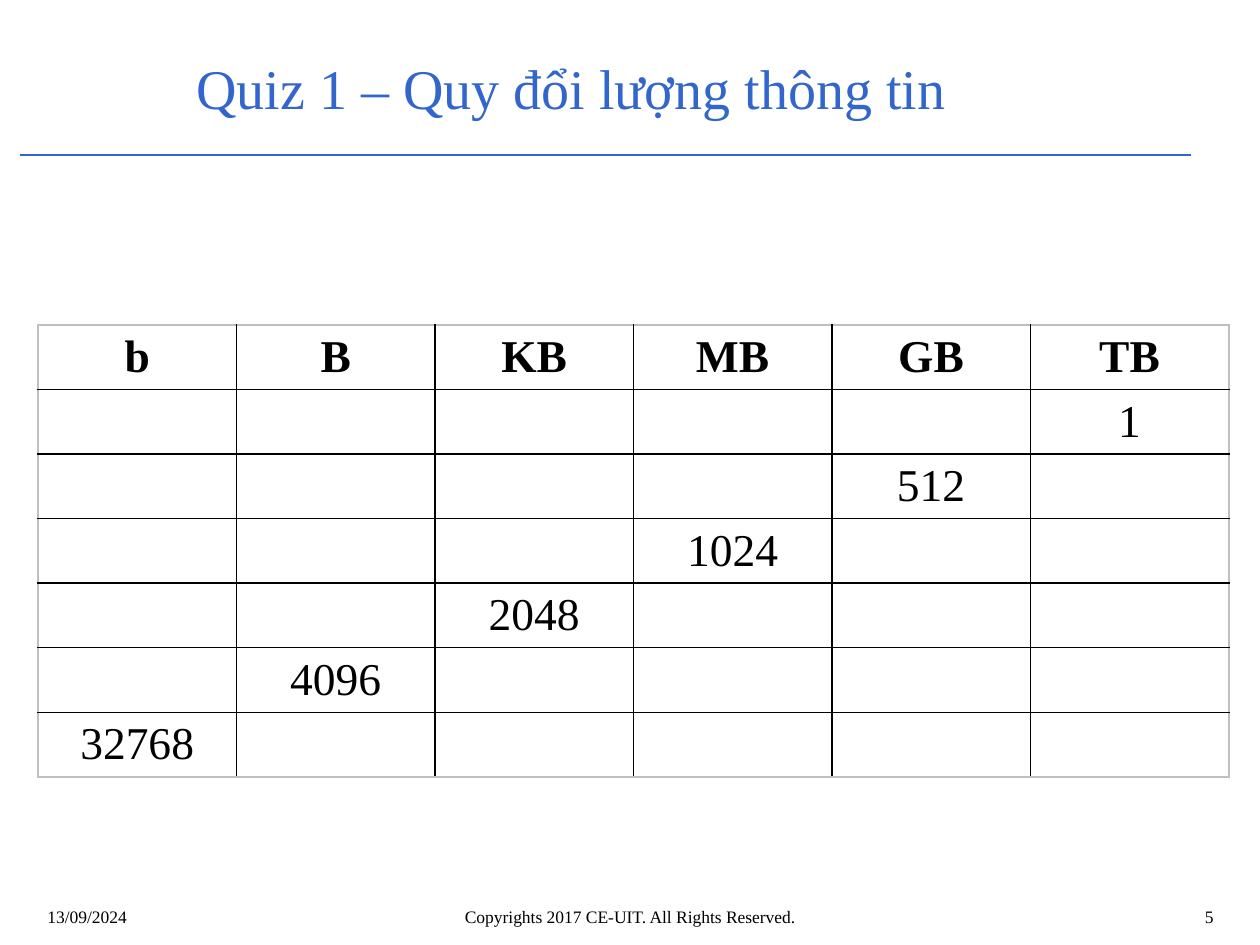
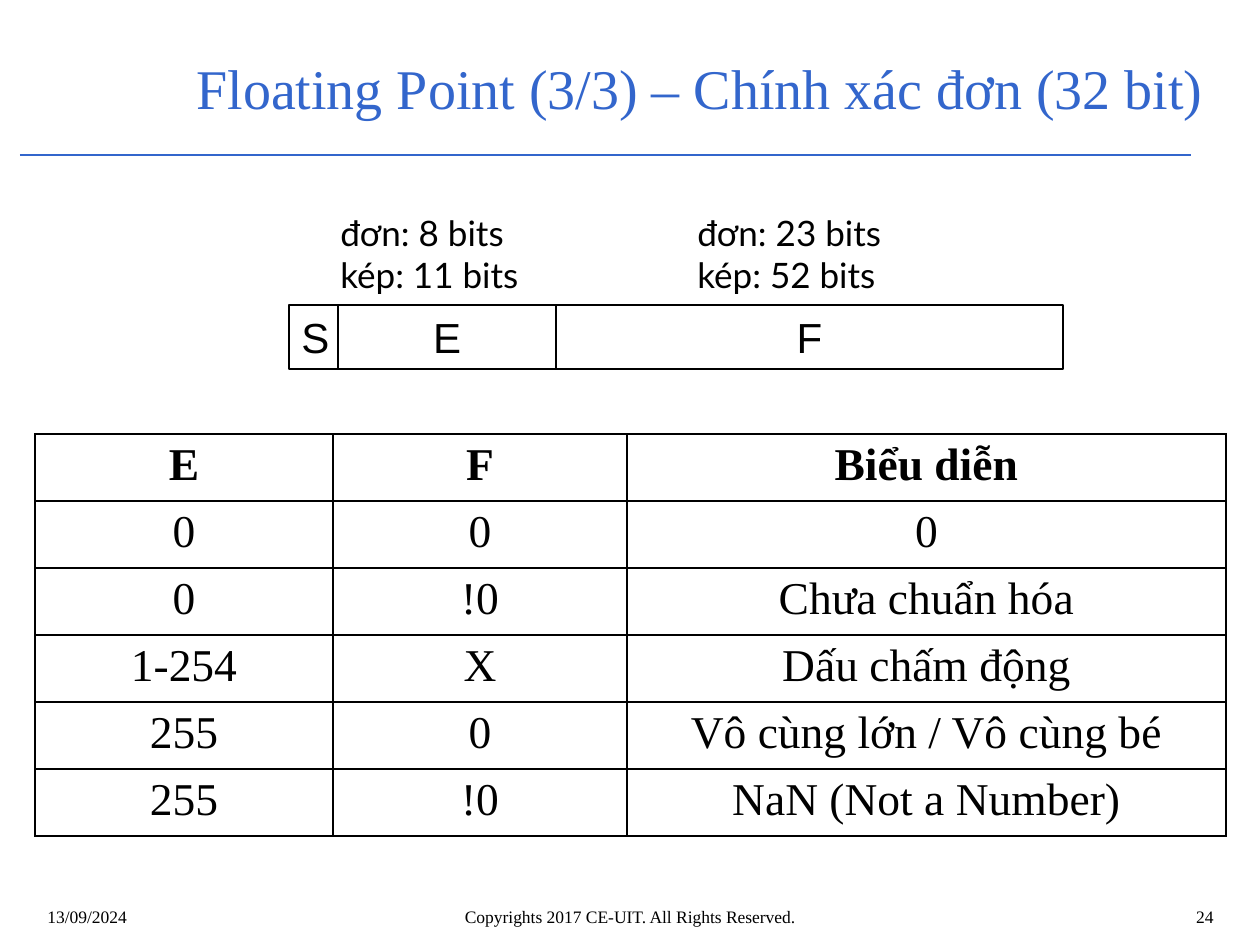
from lxml import etree
from pptx import Presentation
from pptx.dml.color import RGBColor
from pptx.enum.shapes import MSO_CONNECTOR, MSO_SHAPE
from pptx.enum.text import MSO_ANCHOR, PP_ALIGN
from pptx.oxml.ns import qn
from pptx.util import Emu, Pt

BLUE = RGBColor(0x33, 0x66, 0xCC)
BLACK = RGBColor(0, 0, 0)
GREY = RGBColor(0xC0, 0xC0, 0xC0)
SERIF, SANS, NOTE = "Times New Roman", "Arial", "Lato"
LEFT, MID, RIGHT = PP_ALIGN.LEFT, PP_ALIGN.CENTER, PP_ALIGN.RIGHT
TOP, CENTRE = MSO_ANCHOR.TOP, MSO_ANCHOR.MIDDLE
RECT, LINE = MSO_SHAPE.RECTANGLE, MSO_CONNECTOR.STRAIGHT

UNITS = ["b", "B", "KB", "MB", "GB", "TB"]
SIZES = ["32768", "4096", "2048", "1024", "512", "1"]
CASES = [
    ["E", "F", "Biểu diễn"],
    ["0", "0", "0"],
    ["0", "!0", "Chưa chuẩn hóa"],
    ["1-254", "X", "Dấu chấm động"],
    ["255", "0", "Vô cùng lớn / Vô cùng bé"],
    ["255", "!0", "NaN (Not a Number)"],
]
FIELDS = [("S", 49), ("E", 218), ("F", 507)]


def px(*sizes):
    """Turn lengths at 126 px to the inch into EMU."""
    return [Emu(round(size * 914400 / 126)) for size in sizes]


def write(frame, text, size=26, font=SERIF, color=BLACK, bold=False, align=LEFT):
    para = frame.paragraphs[0]
    para.text = text
    para.alignment = align
    for style in [para.font] + [run.font for run in para.runs]:
        style.size, style.name, style.bold = Pt(size), font, bold
        style.color.rgb = color


def label(slide, box, text, anchor=TOP, **style):
    frame = slide.shapes.add_textbox(*px(*box)).text_frame
    frame.word_wrap = True
    frame.vertical_anchor = anchor
    write(frame, text, **style)


def rule(slide, left, right, y):
    line = slide.shapes.add_connector(LINE, *px(left, y, right, y))
    line.line.color.rgb = BLUE
    line.line.width = Pt(0.75)
    etree.SubElement(line._element.spPr, qn("a:effectLst"))


def base(deck, title, number, width):
    """Add a slide with its title, rule and footer."""
    slide = deck.slides.add_slide(deck.slide_layouts[6])
    rule(slide, 20, 1191, 155)
    label(slide, (184, 39, width, 96), title, CENTRE, size=32, color=BLUE)
    label(slide, (35, 900, 294, 40), "13/09/2024", size=10)
    label(slide, (984, 900, 242, 40), str(number), size=10, align=RIGHT)
    label(slide, (243, 900, 774, 40),
          "Copyrights 2017 CE-UIT. All Rights Reserved.", size=10, align=MID)
    return slide


def edge(cell, side, color):
    line = etree.SubElement(cell._tc.get_or_add_tcPr(), qn(f"a:ln{side}"), w="12700")
    fill = etree.SubElement(line, qn("a:solidFill"))
    etree.SubElement(fill, qn("a:srgbClr"), val=str(color))


def grid(slide, spot, cols, high, rows, frame=BLACK, anchor=TOP, pad=6):
    """Add a ruled table with a bold first row; frame colours its outer edge."""
    box = (*spot, sum(cols), high * len(rows))
    table = slide.shapes.add_table(len(rows), len(cols), *px(*box)).table
    for col, width in zip(table.columns, px(*cols)):
        col.width = width
    for i, row in enumerate(rows):
        table.rows[i].height = px(high)[0]
        for j, text in enumerate(row):
            cell = table.cell(i, j)
            outer = {"L": j == 0, "R": j == len(cols) - 1,
                     "T": i == 0, "B": i == len(rows) - 1}
            for side, end in outer.items():
                edge(cell, side, frame if end else BLACK)
            cell.fill.background()
            cell.vertical_anchor = anchor
            cell.margin_top = cell.margin_bottom = px(pad)[0]
            write(cell.text_frame, text, bold=i == 0, align=MID)


def fields(slide, left, top, high):
    """Draw the bit fields side by side, with their widths above."""
    x = left
    for name, width in FIELDS:
        part = slide.shapes.add_shape(RECT, *px(x, top, width, high))
        part.shadow.inherit = False
        part.fill.background()
        part.line.color.rgb = BLACK
        part.line.width = Pt(1)
        part.text_frame.vertical_anchor = TOP
        write(part.text_frame, name, size=24, font=SANS, align=MID)
        x += width
    for shift, text in [(39, "đơn: 8 bits\nkép: 11 bits"),
                        (396, "đơn: 23 bits\nkép: 52 bits")]:
        label(slide, (left + shift, top - 100, 214, 97), text, size=20, font=NOTE)


def quiz(deck):
    slide = base(deck, "Quiz 1 – Quy đổi lượng thông tin", 5, 1013)
    count = len(UNITS)
    rows = [[SIZES[j] if j == i else "" for j in range(count)]
            for i in reversed(range(count))]
    grid(slide, (38, 325), [198.5] * count, 63, [UNITS] + rows, GREY, CENTRE, 5)


def floating(deck):
    slide = base(deck, "Floating Point (3/3) – Chính xác đơn (32 bit)", 24, 1042)
    fields(slide, 289, 305, 64)
    grid(slide, (35, 434), [298, 294, 599], 67, CASES)


def main():
    deck = Presentation()
    deck.slide_width, deck.slide_height = px(1260, 945)
    quiz(deck)
    floating(deck)
    deck.save("out.pptx")


if __name__ == "__main__":
    main()
